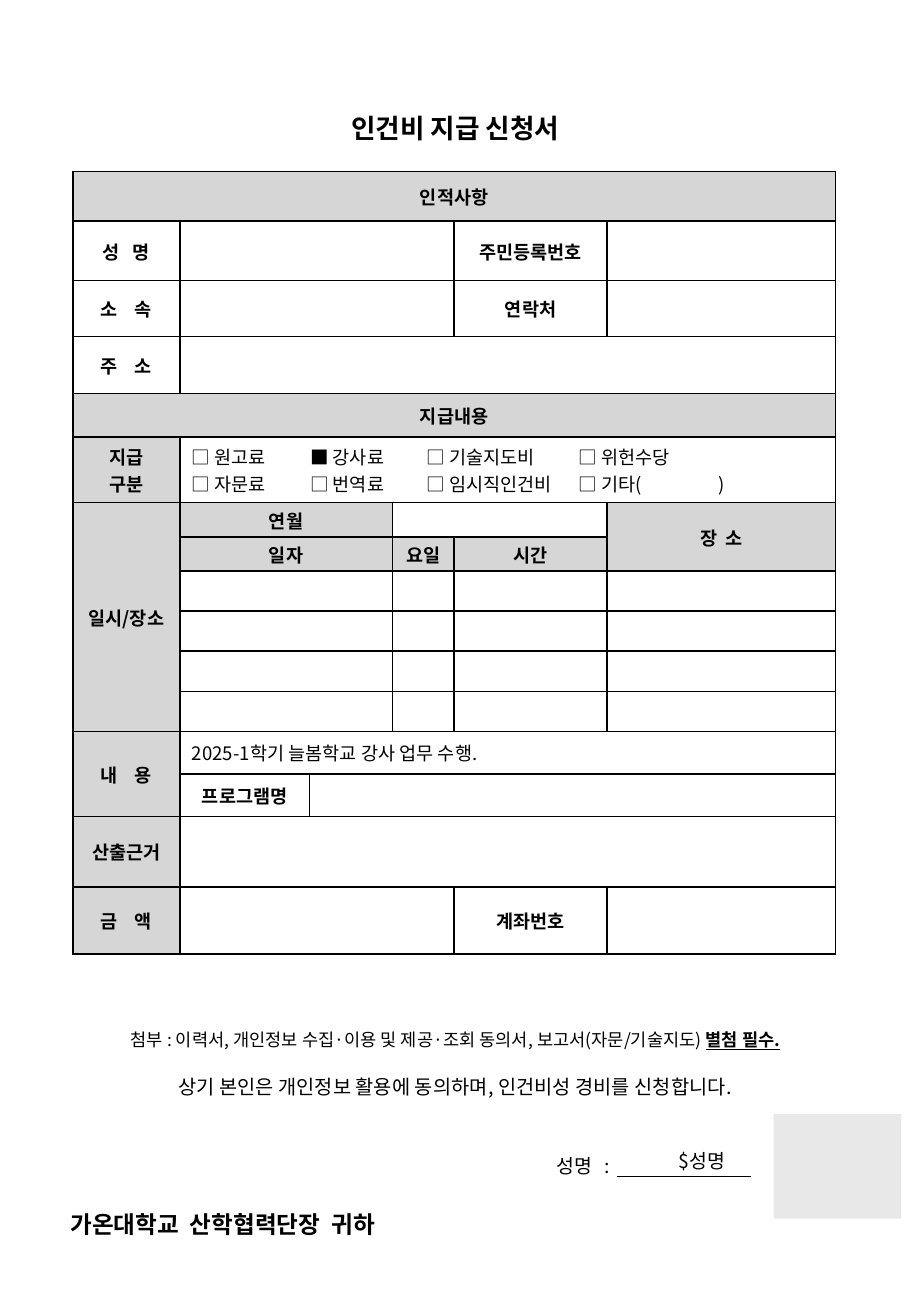
from lxml import etree
from pptx import Presentation
from pptx.dml.color import RGBColor
from pptx.enum.shapes import MSO_CONNECTOR, MSO_SHAPE
from pptx.enum.text import MSO_ANCHOR, MSO_AUTO_SIZE, PP_ALIGN
from pptx.oxml.ns import qn
from pptx.util import Pt

CENTER, LEFT = PP_ALIGN.CENTER, PP_ALIGN.LEFT
MIDDLE = MSO_ANCHOR.MIDDLE
RECTANGLE = MSO_SHAPE.RECTANGLE
STRAIGHT = MSO_CONNECTOR.STRAIGHT
FIT_SHAPE = MSO_AUTO_SIZE.SHAPE_TO_FIT_TEXT

FONT = "Noto Sans CJK KR"
BLACK, WHITE, GRAY, PALE = "000000", "FFFFFF", "D6D6D6", "E8E8E8"


def spaced(first, second, gap):
    return [(first, {}), (" ", {"spacing": gap}), (second, {})]


COLUMN_WIDTHS = [63.4, 77, 49, 36.7, 90.7, 135.4]
ROW_HEIGHTS = [29.5, 35.3, 33.1, 33.8, 25.9, 38.9, 20.2, 20.2,
               23.8, 23.8, 23.8, 23.8, 25.2, 25.2, 41.8, 39.6]
CHECKBOX_TABS = [70, 139, 229, 312]
PAYMENT_TYPES = [
    ["□ 원고료", "■ 강사료", "□ 기술지도비", "□ 위헌수당"],
    ["□ 자문료", "□ 번역료", "□ 임시직인건비", "□ 기타(", ")"],
]

LABELS = [
    (0, 0, ["인적사항"], GRAY),
    (1, 0, [spaced("성", "명", 5)], WHITE),
    (1, 4, ["주민등록번호"], WHITE),
    (2, 0, [spaced("소", "속", 7.5)], WHITE),
    (2, 4, ["연락처"], WHITE),
    (3, 0, [spaced("주", "소", 7.5)], WHITE),
    (4, 0, ["지급내용"], GRAY),
    (5, 0, ["지급", "구분"], GRAY),
    (6, 0, ["일시/장소"], GRAY),
    (6, 1, ["연월"], GRAY),
    (6, 5, [spaced("장", "소", 2.5)], GRAY),
    (7, 1, ["일자"], GRAY),
    (7, 3, ["요일"], GRAY),
    (7, 4, ["시간"], GRAY),
    (12, 0, [spaced("내", "용", 7.5)], GRAY),
    (13, 1, ["프로그램명"], WHITE),
    (14, 0, ["산출근거"], GRAY),
    (15, 0, [spaced("금", "액", 7.5)], GRAY),
    (15, 4, ["계좌번호"], WHITE),
]
ENTRIES = [
    (5, 1, ["\t".join(line) for line in PAYMENT_TYPES], CHECKBOX_TABS),
    (12, 1, ["2025-1학기 늘봄학교 강사 업무 수행."], []),
]
MERGES = [
    (0, 0, 0, 5), (1, 1, 1, 3), (2, 1, 2, 3), (3, 1, 3, 5), (4, 0, 4, 5),
    (5, 1, 5, 5), (6, 0, 11, 0), (6, 1, 6, 2), (6, 3, 6, 4), (6, 5, 7, 5),
    *[(row, 1, row, 2) for row in range(7, 12)],
    (12, 0, 13, 0), (12, 1, 12, 5), (13, 2, 13, 5), (14, 1, 14, 5), (15, 1, 15, 3),
]

WIDE_SPACE = (" ", {"size": 28})
TEXT_BOXES = [
    ((195.1, 62.6, 149.8, 26.6), "인건비 지급 신청서",
     {"size": 15.8, "bold": True, "align": CENTER}),
    ((43.2, 606.2, 453.6, 20.2),
     [("첨부 : 이력서, 개인정보 수집·이용 및 제공·조회 동의서, 보고서(자문/기술지도) ", {}),
      ("별첨 필수.", {"bold": True, "underline": True})],
     {"size": 10.4, "align": CENTER}),
    ((79.2, 633.6, 380.9, 21.6),
     "상기 본인은 개인정보 활용에 동의하며, 인건비성 경비를 신청합니다.",
     {"size": 11.7, "align": CENTER}),
    ((322.6, 680.4, 60, 20.9), spaced("성명", ":", 5), {"size": 11.5}),
    ((34.6, 699.1, 213.1, 41),
     [("가온대학교", {}), WIDE_SPACE, ("산학협력단장", {}), WIDE_SPACE, ("귀하", {})],
     {"size": 14, "bold": True}),
    ((395.3, 677.5, 45.4, 20.9), "$성명", {"size": 11.5}),
]
SIGNATURE_LINE = (365.6, 697, 445.2, 697)
STAMP_AREA = (458.6, 660.2, 75.6, 61.9)


def color(value):
    return RGBColor.from_string(value)


def paint(target, value):
    target.fill.solid()
    target.fill.fore_color.rgb = color(value)


def points(values):
    return [Pt(value) for value in values]


def write_text(frame, paragraphs, size=11, bold=False, align=LEFT, tabs=()):
    for index, content in enumerate(paragraphs):
        paragraph = frame.add_paragraph() if index else frame.paragraphs[0]
        paragraph.alignment = align
        if tabs:
            tab_list = etree.SubElement(paragraph._p.get_or_add_pPr(), qn("a:tabLst"))
            for position in tabs:
                etree.SubElement(tab_list, qn("a:tab"), pos=str(Pt(position)), algn="l")
        runs = [(content, {})] if isinstance(content, str) else content
        for text, changes in runs:
            run = paragraph.add_run()
            run.text = text
            run.font.size = Pt(changes.get("size", size))
            run.font.bold = changes.get("bold", bold)
            run.font.underline = changes.get("underline", False)
            run.font.color.rgb = color(BLACK)
            run.font.name = FONT
            properties = run._r.get_or_add_rPr()
            etree.SubElement(properties, qn("a:ea"), typeface=FONT)
            if "spacing" in changes:
                properties.set("spc", str(int(changes["spacing"] * 100)))


def format_cell(cell):
    cell.vertical_anchor = MIDDLE
    cell.margin_left = cell.margin_right = Pt(7.2)
    cell.margin_top = cell.margin_bottom = Pt(2)
    properties = cell._tc.get_or_add_tcPr()
    for side in ("a:lnL", "a:lnR", "a:lnT", "a:lnB"):
        border = etree.SubElement(properties, qn(side), w=str(Pt(1)))
        fill = etree.SubElement(border, qn("a:solidFill"))
        etree.SubElement(fill, qn("a:srgbClr"), val=BLACK)
    paint(cell, WHITE)


def add_form_table(slide):
    frame = slide.shapes.add_table(
        len(ROW_HEIGHTS), len(COLUMN_WIDTHS),
        *points((43.2, 101.5, sum(COLUMN_WIDTHS), sum(ROW_HEIGHTS))))
    table = frame.table
    table.first_row = table.horz_banding = False
    for column, width in zip(table.columns, COLUMN_WIDTHS):
        column.width = Pt(width)
    for row, height in zip(table.rows, ROW_HEIGHTS):
        row.height = Pt(height)
    for cell in table.iter_cells():
        format_cell(cell)
    for top, left, bottom, right in MERGES:
        table.cell(top, left).merge(table.cell(bottom, right))
    for row, column, paragraphs, fill in LABELS:
        cell = table.cell(row, column)
        paint(cell, fill)
        write_text(cell.text_frame, paragraphs, bold=True, align=CENTER)
    for row, column, paragraphs, tabs in ENTRIES:
        write_text(table.cell(row, column).text_frame, paragraphs, tabs=tabs)
    for cell in table.iter_cells():
        for paragraph in cell.text_frame.paragraphs:
            etree.SubElement(paragraph._p, qn("a:endParaRPr"), sz="1100")


def add_text_box(slide, box, content, style):
    frame = slide.shapes.add_textbox(*points(box)).text_frame
    frame.word_wrap = False
    frame.auto_size = FIT_SHAPE
    write_text(frame, [content], **style)


def main():
    presentation = Presentation()
    presentation.slide_width, presentation.slide_height = Pt(540), Pt(779.8)
    slide = presentation.slides.add_slide(presentation.slide_layouts[6])
    add_form_table(slide)
    for box, content, style in TEXT_BOXES:
        add_text_box(slide, box, content, style)

    signature = slide.shapes.add_connector(STRAIGHT, *points(SIGNATURE_LINE))
    signature.line.color.rgb = color(BLACK)
    signature.line.width = Pt(0.75)
    etree.SubElement(signature._element.spPr, qn("a:effectLst"))

    stamp = slide.shapes.add_shape(RECTANGLE, *points(STAMP_AREA))
    stamp.shadow.inherit = False
    paint(stamp, PALE)
    stamp.line.fill.background()
    presentation.save("out.pptx")


if __name__ == "__main__":
    main()
